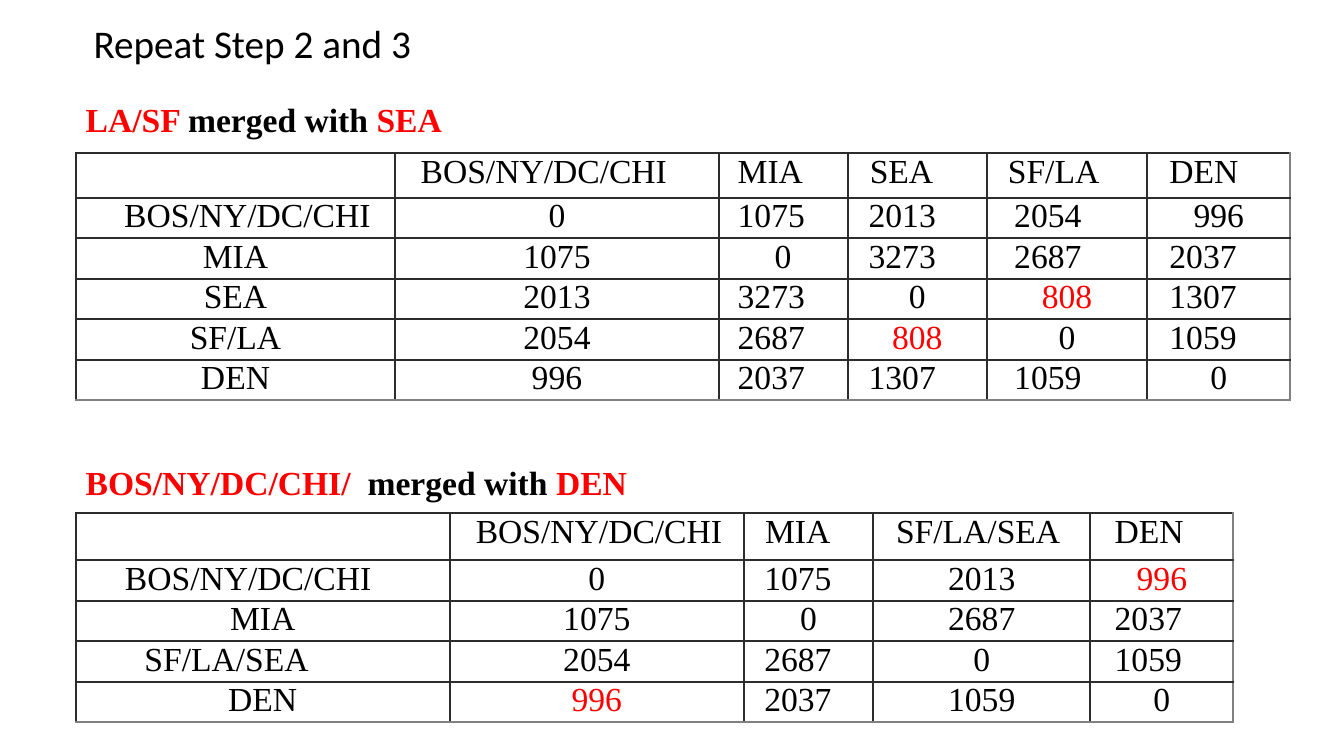
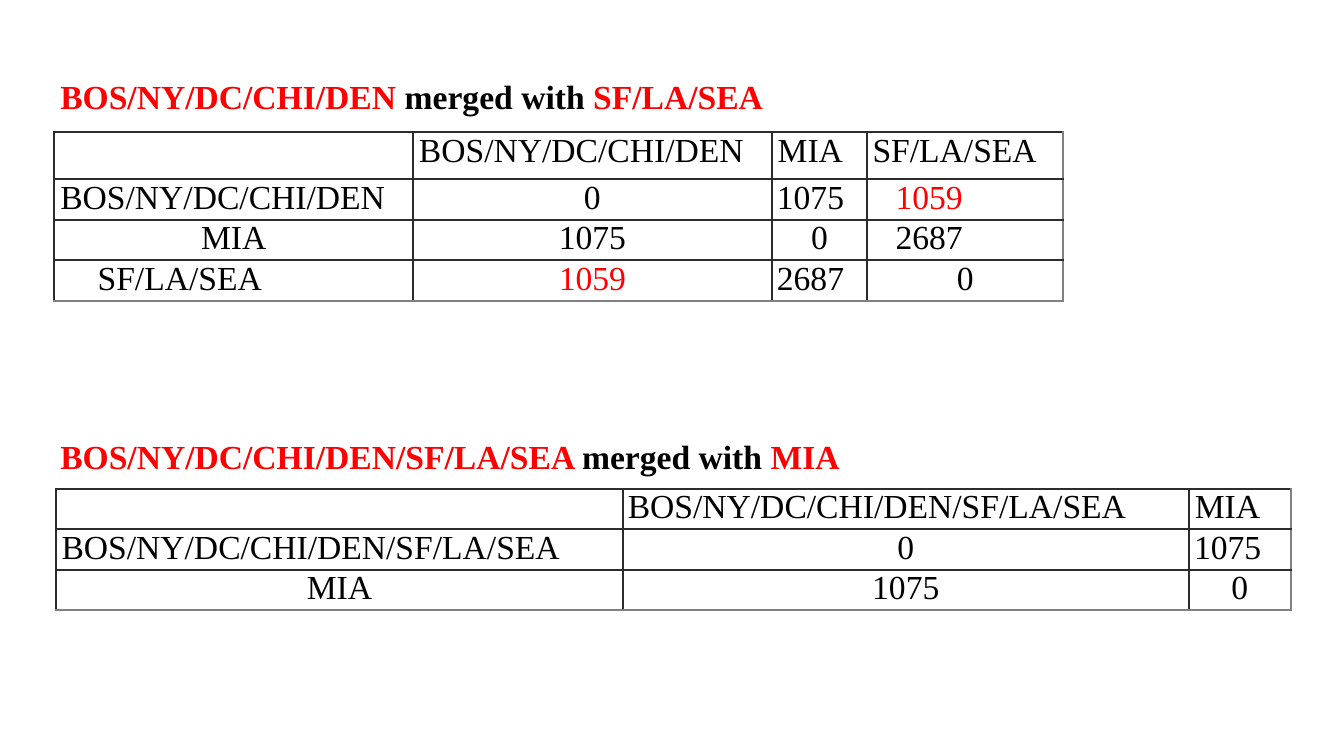
from lxml import etree
from pptx import Presentation
from pptx.dml.color import RGBColor
from pptx.enum.text import PP_ALIGN
from pptx.oxml.ns import qn
from pptx.util import Cm, Pt

LEFT, CENTER = PP_ALIGN.LEFT, PP_ALIGN.CENTER
BLACK, RED = "000000", "FF0000"
GRID, OUTER_EDGE = "2C2C2C", "808080"
SERIF, SANS = "Times New Roman", "Calibri"
ROW_HEIGHT = 1.02

# Lengths are in cm. An indent of None means that the cell is centred.
# Value indents hold for four-digit distances; shorter ones are centred.
MERGE_STEPS = [
    [
        {
            "caption": ["LA/SF ", "merged with ", "SEA"],
            "caption_box": (1.07, 2.36, 11.07, 1.24), "caption_indent": 0.84,
            "table_at": (1.91, 3.86), "header_height": 1.13,
            "widths": [8.05, 8.15, 3.25, 3.51, 4.04, 3.61],
            "cities": ["BOS/NY/DC/CHI", "MIA", "SEA", "SF/LA", "DEN"],
            "distances": [[0, 1075, 2013, 2054, 996],
                          [1075, 0, 3273, 2687, 2037],
                          [2013, 3273, 0, 808, 1307],
                          [2054, 2687, 808, 0, 1059],
                          [996, 2037, 1307, 1059, 0]],
            "nearest": 808,
            "header_indents": [0.64, 0.48, 0.56, 0.53, 0.56],
            "label_indents": [1.22, None, None, None, None],
            "value_indents": [None, 0.48, 0.53, 0.69, 0.56],
        },
        {
            "caption": ["BOS/NY/DC/CHI/  ", "merged with ", "DEN"],
            "caption_box": (1.91, 11.51, 14.45, 1.27), "caption_indent": 0,
            "table_at": (1.91, 12.93), "header_height": 1.19,
            "widths": [9.42, 7.42, 3.25, 5.48, 3.6],
            "cities": ["BOS/NY/DC/CHI", "MIA", "SF/LA/SEA", "DEN"],
            "distances": [[0, 1075, 2013, 996],
                          [1075, 0, 2687, 2037],
                          [2054, 2687, 0, 1059],
                          [996, 2037, 1059, 0]],
            "nearest": 996,
            "header_indents": [0.66, 0.53, 0.58, 0.61],
            "label_indents": [1.24, None, 1.73, None],
            "value_indents": [None, 0.51, None, 0.61],
        },
    ],
    [
        {
            "caption": ["BOS/NY/DC/CHI/DEN ", "merged with ", "SF/LA/SEA"],
            "caption_box": (1.12, 1.78, 18.54, 1.27), "caption_indent": 0.15,
            "table_at": (1.37, 3.33), "header_height": 1.19,
            "widths": [9.04, 9.04, 2.41, 4.93],
            "cities": ["BOS/NY/DC/CHI/DEN", "MIA", "SF/LA/SEA"],
            "distances": [[0, 1075, 1059],
                          [1075, 0, 2687],
                          [1059, 2687, 0]],
            "nearest": 1059,
            "header_indents": [0.15, 0.15, 0.13],
            "label_indents": [0.15, None, 1.09],
            "value_indents": [None, 0.13, 0.71],
        },
        {
            "caption": ["BOS/NY/DC/CHI/DEN/SF/LA/SEA ", "merged with ", "MIA"],
            "caption_box": (1.12, 10.85, 20.65, 1.27), "caption_indent": 0.15,
            "table_at": (1.42, 12.32), "header_height": ROW_HEIGHT,
            "widths": [14.27, 14.27, 2.57],
            "cities": ["BOS/NY/DC/CHI/DEN/SF/LA/SEA", "MIA"],
            "distances": [[0, 1075],
                          [1075, 0]],
            "nearest": None,
            "header_indents": [0.13, 0.15],
            "label_indents": [0.13, None],
            "value_indents": [None, 0.13],
        },
    ],
]


def style_run(run, color, size=24, font=SERIF, bold=False):
    run.font.name = font
    run.font.size = Pt(size)
    run.font.bold = bold
    run.font.color.rgb = RGBColor.from_string(color)


def draw_borders(cell, colors):
    """Rule the left, right, top and bottom sides, in that order."""
    properties = cell._tc.get_or_add_tcPr()
    for side, color in zip(("a:lnL", "a:lnR", "a:lnT", "a:lnB"), colors):
        line = etree.SubElement(properties, qn(side), w=str(Pt(1.6)))
        fill = etree.SubElement(line, qn("a:solidFill"))
        etree.SubElement(fill, qn("a:srgbClr"), val=color)


prs = Presentation()
prs.slide_width, prs.slide_height = Cm(33.87), Cm(19.05)
blank = prs.slide_layouts[6]

for slide_number, steps in enumerate(MERGE_STEPS):
    slide = prs.slides.add_slide(blank)

    if slide_number == 0:
        heading = slide.shapes.add_textbox(Cm(2.11), Cm(0.36), Cm(9), Cm(1.45)).text_frame
        heading.word_wrap = True
        heading.text = "Repeat Step 2 and 3"
        style_run(heading.paragraphs[0].runs[0], BLACK, 28, SANS)

    for step in steps:
        caption = slide.shapes.add_textbox(*map(Cm, step["caption_box"])).text_frame
        caption.word_wrap = True
        caption.margin_left = Cm(0.25 + step["caption_indent"])
        for text, color in zip(step["caption"], (RED, BLACK, RED)):
            run = caption.paragraphs[0].add_run()
            run.text = text
            style_run(run, color, bold=True)

        cities, widths = step["cities"], step["widths"]
        heights = [step["header_height"]] + [ROW_HEIGHT] * len(cities)
        left, top = step["table_at"]
        matrix = slide.shapes.add_table(
            len(heights), len(widths), Cm(left), Cm(top),
            Cm(sum(widths)), Cm(sum(heights))).table
        matrix.first_row = matrix.horz_banding = False
        for column, width in zip(matrix.columns, widths):
            column.width = Cm(width)
        for row, height in zip(matrix.rows, heights):
            row.height = Cm(height)

        last = len(cities)
        for r in range(last + 1):
            for c in range(last + 1):
                cell = matrix.cell(r, c)
                cell.margin_left = cell.margin_right = 0
                cell.margin_top = cell.margin_bottom = 0
                draw_borders(cell, (GRID, OUTER_EDGE if c == last else GRID,
                                    GRID, OUTER_EDGE if r == last else GRID))
                cell.fill.background()
                if r == c == 0:
                    continue

                color = BLACK
                if r == 0:
                    text, indent = cities[c - 1], step["header_indents"][c - 1]
                elif c == 0:
                    text, indent = cities[r - 1], step["label_indents"][r - 1]
                else:
                    distance = step["distances"][r - 1][c - 1]
                    text = str(distance)
                    indent = step["value_indents"][c - 1] if distance >= 1000 else None
                    if distance == step["nearest"]:
                        color = RED

                cell.text_frame.text = text
                paragraph = cell.text_frame.paragraphs[0]
                paragraph.alignment = CENTER if indent is None else LEFT
                cell.margin_left = Cm(indent or 0)
                style_run(paragraph.runs[0], color)

prs.save("out.pptx")
